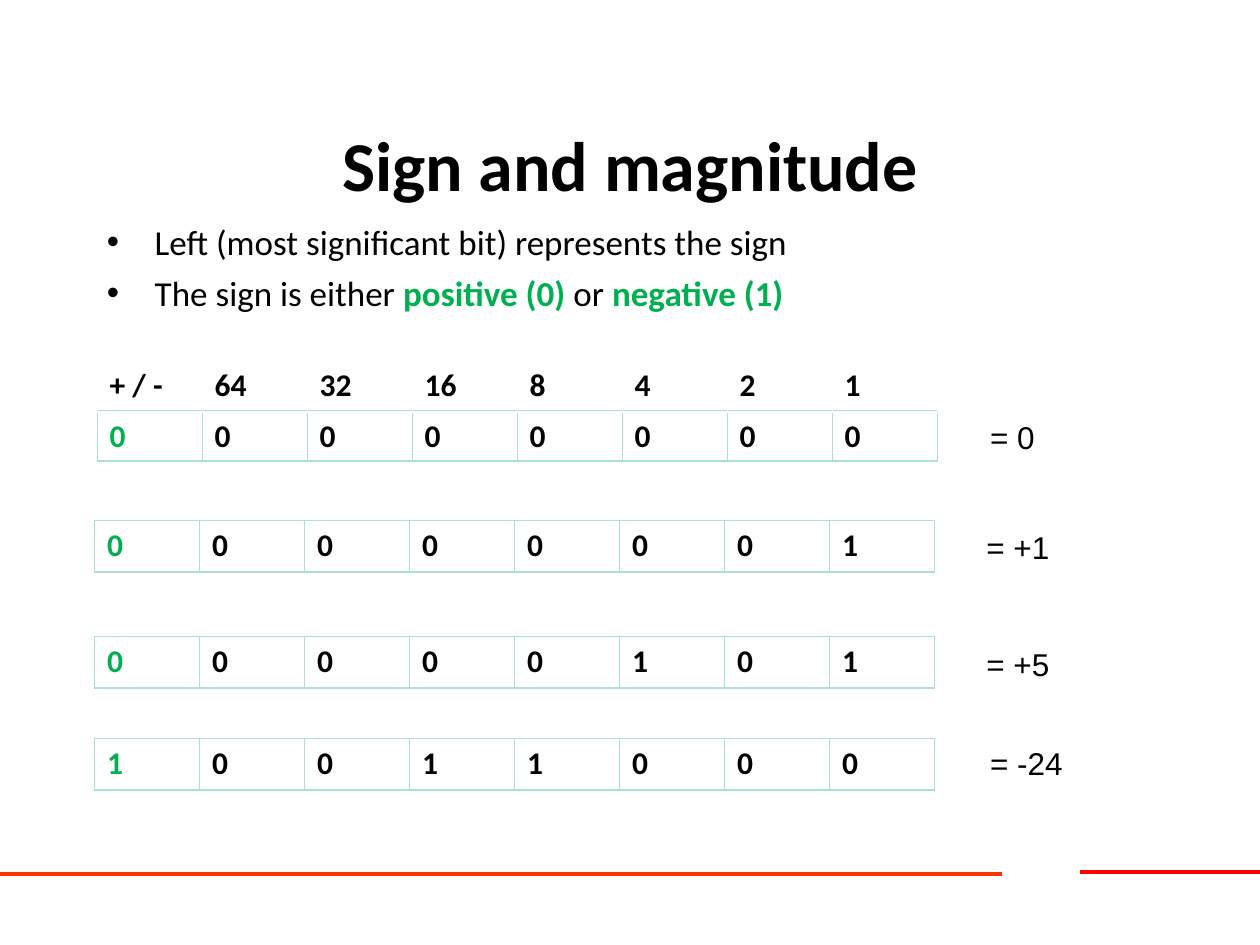
from pptx import Presentation
from pptx.dml.color import RGBColor
from pptx.enum.shapes import MSO_CONNECTOR
from pptx.enum.text import MSO_ANCHOR, PP_ALIGN
from pptx.oxml.ns import qn
from pptx.util import Inches, Pt
from lxml.etree import SubElement

THEME = {
    "ink": "000000", "sign": "00B050", "grid": "AAE2CA", "blank": "FFFFFF",
    "rule": "FF3300", "edge": "FF0000",
    "head": 40, "body": 20, "cell": 18,
    "main": "Calibri", "value": "Arial",
}
TITLE = "Sign and magnitude"
BULLETS = [
    [("Left (most significant bit) represents the sign", False)],
    [("The sign is either ", False), ("positive (0)", True),
     (" or ", False), ("negative (1)", True)],
]
ROWS = [
    ("00000000", "= 0", 0.77, 3.26, 0.4, 7.76, 3.27),
    ("00000001", "= +1", 0.75, 4.13, 0.41, 7.73, 4.14),
    ("00000101", "= +5", 0.75, 5.05, 0.41, 7.73, 5.07),
    ("10011000", "= -24", 0.75, 5.86, 0.41, 7.76, 5.86),
]
WEIGHTS = ["+ / -"] + [str(2 ** n) for n in range(6, -1, -1)]
RULES = [("edge", 8.57, 10, 6.92), ("rule", 0, 7.95, 6.94)]
WIDTH = 6.67


def write(para, text, size="cell", face="main", color="ink", bold=False):
    run = para.add_run()
    run.text = text
    font = run.font
    font.size, font.name, font.bold = Pt(THEME[size]), THEME[face], bold
    font.color.rgb = RGBColor.from_string(THEME[color])


def add_box(slide, left, top, width, height):
    frame = slide.shapes.add_textbox(
        Inches(left), Inches(top), Inches(width), Inches(height)).text_frame
    frame.word_wrap = True
    return frame


def add_bullet(para):
    props = para._p.get_or_add_pPr()
    props.set("marL", str(Inches(0.38)))
    props.set("indent", str(-Inches(0.38)))
    tint = SubElement(props, qn("a:buClr"))
    SubElement(tint, qn("a:srgbClr"), val=THEME["ink"])
    SubElement(props, qn("a:buFont"), typeface=THEME["value"])
    SubElement(props, qn("a:buChar"), char="•")


def add_border(cell, color):
    props = cell._tc.get_or_add_tcPr()
    for side, size in (("L", 0.45), ("R", 0.45), ("T", 0.45), ("B", 0.96)):
        line = SubElement(props, qn("a:ln" + side), w=str(Pt(size)))
        fill = SubElement(line, qn("a:solidFill"))
        SubElement(fill, qn("a:srgbClr"), val=THEME[color])


def add_row(slide, texts, left, top, height, grid, first):
    table = slide.shapes.add_table(
        1, len(texts), Inches(left), Inches(top),
        Inches(WIDTH), Inches(height)).table
    table.first_row = table.horz_banding = False
    for index, text in enumerate(texts):
        table.columns[index].width = Inches(WIDTH / len(texts))
        cell = table.cell(0, index)
        add_border(cell, grid)
        cell.fill.background()
        write(cell.text_frame.paragraphs[0], text, bold=True,
              color=first if index == 0 else "ink")


def add_rule(slide, color, start, end, y):
    line = slide.shapes.add_connector(
        MSO_CONNECTOR.STRAIGHT, Inches(start), Inches(y), Inches(end), Inches(y))
    line.line.color.rgb = RGBColor.from_string(THEME[color])
    line.line.width = Pt(2.25)
    SubElement(line._element.spPr, qn("a:effectLst"))


def main():
    deck = Presentation()
    deck.slide_width, deck.slide_height = Inches(10), Inches(7.5)
    slide = deck.slides.add_slide(deck.slide_layouts[5])
    for rule in RULES:
        add_rule(slide, *rule)

    title = slide.shapes.title
    title.left, title.top = Inches(0.75), Inches(0.67)
    title.width, title.height = Inches(8.5), Inches(1.25)
    title.text_frame.vertical_anchor = MSO_ANCHOR.MIDDLE
    para = title.text_frame.paragraphs[0]
    para.alignment = PP_ALIGN.CENTER
    write(para, TITLE, size="head", bold=True)

    frame = add_box(slide, 0.75, 1.7, 8.5, 4.5)
    for index, parts in enumerate(BULLETS):
        para = frame.add_paragraph() if index else frame.paragraphs[0]
        add_bullet(para)
        if index:
            para.space_before = Pt(5)
        for text, strong in parts:
            write(para, text, size="body", bold=strong,
                  color="sign" if strong else "ink")

    for bits, value, left, top, height, x, y in ROWS:
        add_row(slide, bits, left, top, height, "grid", "sign")
        frame = add_box(slide, x, y, 1.5, 0.4)
        write(frame.paragraphs[0], value, face="value")
    add_row(slide, WEIGHTS, 0.77, 2.86, 0.41, "blank", "ink")
    deck.save("out.pptx")


if __name__ == "__main__":
    main()
